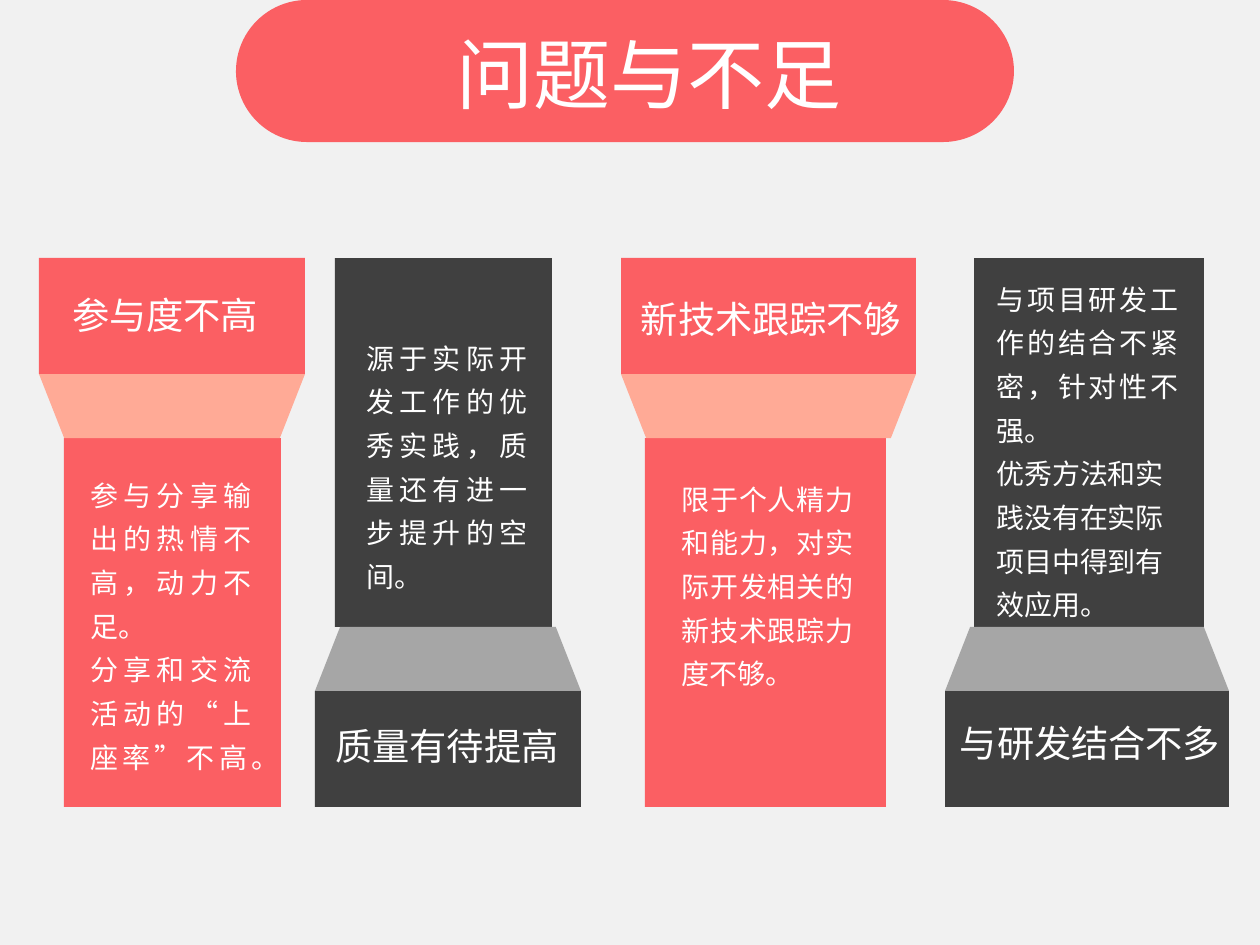
from dataclasses import dataclass
from lxml import etree
from pptx import Presentation
from pptx.dml.color import RGBColor
from pptx.enum.lang import MSO_LANGUAGE_ID
from pptx.enum.shapes import MSO_SHAPE
from pptx.enum.text import MSO_ANCHOR, MSO_AUTO_SIZE, PP_ALIGN
from pptx.oxml.ns import qn

RECT, TRAP, ROUND = MSO_SHAPE.RECTANGLE, MSO_SHAPE.TRAPEZOID, MSO_SHAPE.ROUNDED_RECTANGLE
LEFT, MID, JUST = PP_ALIGN.LEFT, PP_ALIGN.CENTER, PP_ALIGN.JUSTIFY
TOP, GROW = MSO_ANCHOR.TOP, MSO_AUTO_SIZE.SHAPE_TO_FIT_TEXT
CHINESE = MSO_LANGUAGE_ID.SIMPLIFIED_CHINESE
SCALE = 914400 / 126


@dataclass(frozen=True)
class Theme:
    """Colours, fonts and type sizes of the slide."""
    back: str = "F1F1F1"
    red: str = "FB5F63"
    peach: str = "FFAA96"
    dark: str = "404040"
    grey: str = "A6A6A6"
    white: str = "FFFFFF"
    face: str = "Noto Sans CJK SC"
    latin: str = "Calibri"
    title: float = 44
    label: float = 21.3
    body: float = 16


THEME = Theme()
HEAD, FOLD = 116, 64
PILLARS = [
    {"box": (39, 258, 266, 549), "stem": (25, 217), "up": True,
     "label": ("参与度不高", (19, 28, 214, 58)),
     "body": ([("参与分享输出的热情不高，动力不足。", JUST),
               ("分享和交流活动的“上座率”不高。", JUST)], (39, 204, 186, 318))},
    {"box": (315, 258, 266, 549), "stem": (20, 217), "up": False,
     "label": ("质量有待提高", (6, 459, 252, 58)),
     "body": ([("源于实际开发工作的优秀实践，质量还有进一步提升的空间。", JUST)],
              (39, 67, 186, 273))},
    {"box": (621, 258, 295, 549), "stem": (24, 241), "up": True,
     "label": ("新技术跟踪不够", (5, 32, 290, 58)),
     "body": ([("限于个人精力和能力，对实际开发相关的新技术跟踪力度不够。", JUST)],
              (48, 208, 197, 229))},
    {"box": (945, 258, 284, 549), "stem": (29, 230), "up": False,
     "label": ("与研发结合不多", (0, 456, 290, 58)),
     "body": ([("与项目研发工作的结合不紧密，针对性不强。", JUST),
               ("优秀方法和实践没有在实际项目中得到有效应用。", LEFT)],
              (39, 8, 207, 362))},
]


def emu(box):
    """Turn pixels into EMU."""
    return [round(n * SCALE) for n in box]


def block(slide, kind, box, fill, adjust=None):
    """Add a flat filled shape."""
    shape = slide.shapes.add_shape(kind, *emu(box))
    shape.shadow.inherit = False
    shape.fill.solid()
    shape.fill.fore_color.rgb = RGBColor.from_string(fill)
    shape.line.fill.background()
    if adjust is not None:
        shape.adjustments[0] = adjust
    return shape


def write(frame, lines, size, face, space=1.0, wrap=True):
    """Fill a text frame with (text, alignment) lines."""
    look = {"word_wrap": wrap, "auto_size": GROW, "vertical_anchor": TOP}
    for name, value in look.items():
        setattr(frame, name, value)
    for i, (text, align) in enumerate(lines):
        para = frame.add_paragraph() if i else frame.paragraphs[0]
        para.alignment, para.line_spacing = align, space
        run = para.add_run()
        run.text = text
        run.font.color.rgb = RGBColor.from_string(THEME.white)
        run.font.size = round(size * 12700)
        for name, value in {"name": face, "language_id": CHINESE}.items():
            setattr(run.font, name, value)
        east = etree.Element(qn("a:ea"), typeface=THEME.face)
        run.font._element.find(qn("a:latin")).addnext(east)


def banner(slide, box):
    """Place the title on its rounded bar."""
    x, y = box[:2]
    bar = block(slide, ROUND, box, THEME.red, 0.5)
    title = slide.shapes.title
    title._element.addprevious(bar._element)
    title.left, title.top, title.width, title.height = emu((x + 208, y + 20, 650, 106))
    write(title.text_frame, [("问题与不足", LEFT)], THEME.title, THEME.face)


def pillar(slide, box, stem, up, label, body):
    """Place a folded pillar with its label and body; up puts the label on top."""
    x, y, w, h = box
    inset, wide = stem
    tall = h - HEAD - FOLD
    main, tint = (THEME.red, THEME.peach) if up else (THEME.dark, THEME.grey)
    cap, fold, base = (0, HEAD, HEAD + FOLD) if up else (h - HEAD, tall, 0)
    block(slide, RECT, (x, y + cap, w, HEAD), main)
    block(slide, RECT, (x + inset, y + base, wide, tall), main)
    trap = block(slide, TRAP, (x, y + fold, w, FOLD), tint, 0.393)
    trap.rotation = 180 if up else 0
    text, spot = label
    texts = [(spot, [(text, MID)], THEME.label, THEME.latin, 1.0, False),
             (body[1], body[0], THEME.body, THEME.face, 1.3, True)]
    for (dx, dy, *size), *style in texts:
        note = slide.shapes.add_textbox(*emu((x + dx, y + dy, *size)))
        write(note.text_frame, *style)


def main():
    """Build and save the slide."""
    deck = Presentation()
    deck.slide_width, deck.slide_height = emu((1260, 945))
    slide = deck.slides.add_slide(deck.slide_layouts[5])
    slide.background.fill.solid()
    slide.background.fill.fore_color.rgb = RGBColor.from_string(THEME.back)
    banner(slide, (236, 0, 778, 142))
    for item in PILLARS:
        pillar(slide, **item)
    deck.save("out.pptx")


main()
